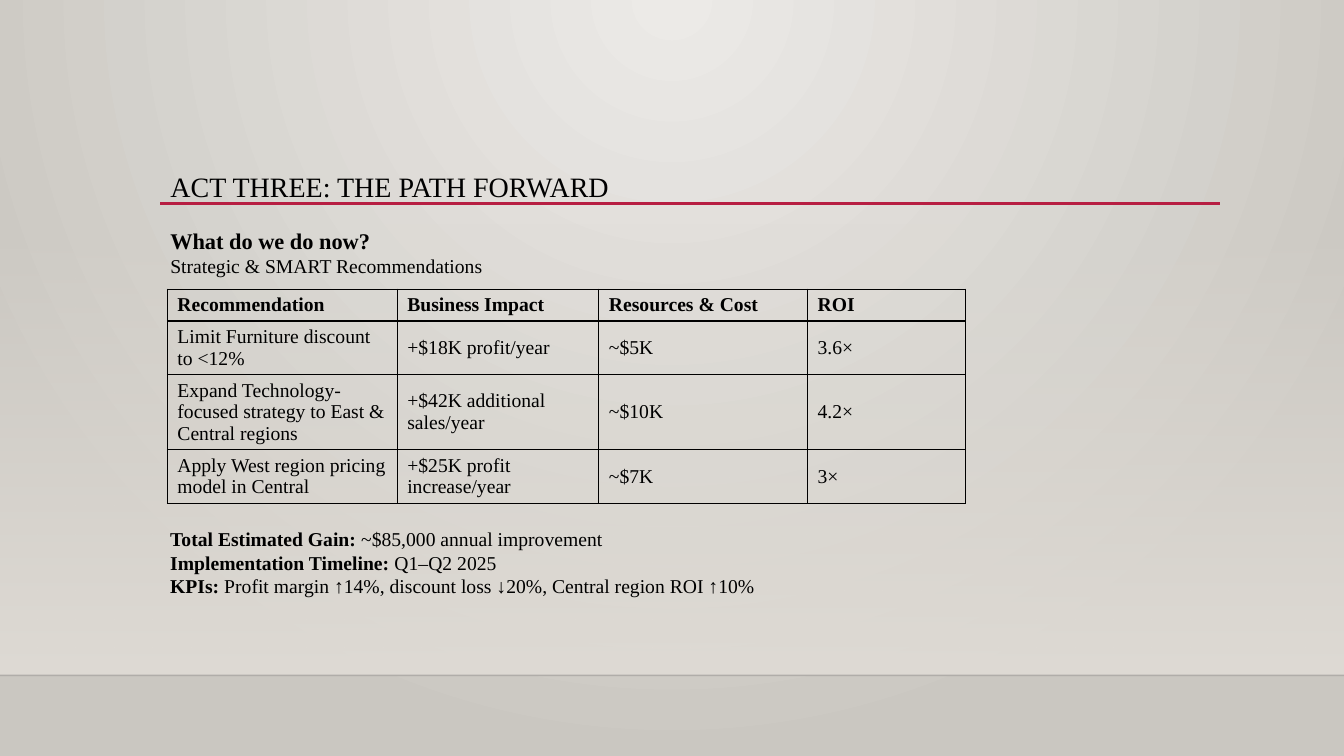
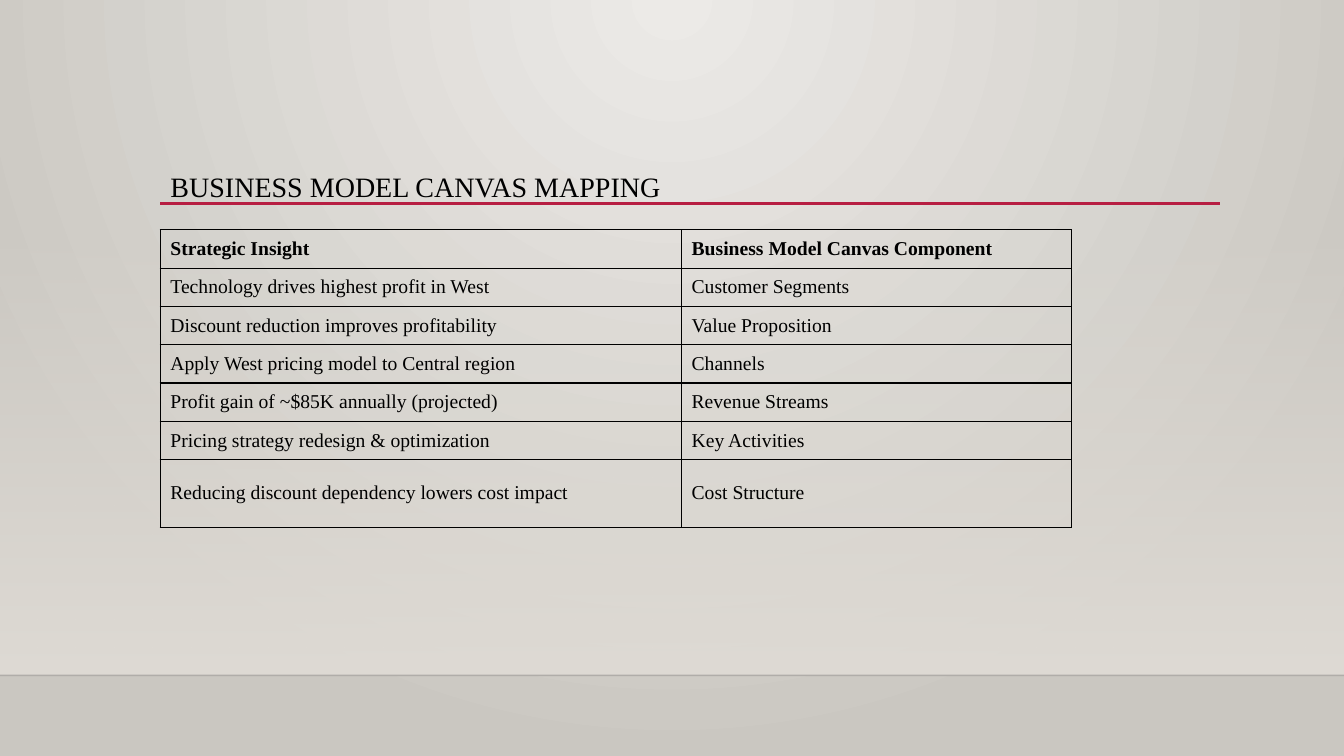
from dataclasses import dataclass

from lxml.etree import SubElement
from pptx import Presentation
from pptx.dml.color import RGBColor
from pptx.enum.shapes import MSO_CONNECTOR, MSO_SHAPE
from pptx.enum.text import MSO_ANCHOR, MSO_AUTO_SIZE, PP_ALIGN
from pptx.oxml.ns import qn
from pptx.slide import Slide, SlideLayout
from pptx.text.text import TextFrame
from pptx.util import Emu, Pt

WIDTH, HEIGHT = 1333, 750
LEFT = 159
FLOOR = 670
FONT = "Times New Roman"
BLACK = RGBColor(0x00, 0x00, 0x00)
INK = RGBColor(0x00, 0x00, 0x01)
RED = RGBColor(0xB7, 0x1E, 0x42)
LIGHT = RGBColor(0xEC, 0xEA, 0xE7)
DARK = RGBColor(0xCA, 0xC7, 0xC1)
SAND = RGBColor(0xDF, 0xDB, 0xD5)


@dataclass(frozen=True)
class Run:
    text: str
    bold: bool = False
    size: int = 14


@dataclass(frozen=True)
class Grid:
    left: int
    top: int
    cols: list[int]
    rows: list[int]
    cells: list[list[str]]


@dataclass(frozen=True)
class Note:
    top: int
    width: int
    height: int
    lines: list[list[Run]]


@dataclass(frozen=True)
class Page:
    title: str
    grid: Grid
    notes: list[Note]


@dataclass(frozen=True)
class Rule:
    left: int
    right: int
    top: int
    color: RGBColor
    weight: float
    alpha: int = 100


RULES = [
    Rule(0, WIDTH, FLOOR, INK, 1, 20),
    Rule(LEFT, 1210, 202, RED, 2.5),
]

PAGES = [
    Page(
        "ACT THREE: THE PATH FORWARD",
        Grid(166, 287, [228, 200, 207, 157], [25, 42, 60, 43], [
            ["Recommendation", "Business Impact", "Resources & Cost", "ROI"],
            ["Limit Furniture discount to <12%", "+$18K profit/year", "~$5K", "3.6×"],
            ["Expand Technology-focused strategy to East & Central regions",
             "+$42K additional sales/year", "~$10K", "4.2×"],
            ["Apply West region pricing model in Central",
             "+$25K profit increase/year", "~$7K", "3×"],
        ]),
        [
            Note(220, 662, 61, [
                [Run("What do we do now?", True, 16)],
                [Run("Strategic & SMART Recommendations")],
            ]),
            Note(518, 667, 81, [
                [Run("Total Estimated Gain:", True),
                 Run(" ~$85,000 annual improvement")],
                [Run("Implementation Timeline:", True), Run(" Q1–Q2 2025")],
                [Run("KPIs:", True),
                 Run(" Profit margin ↑14%, discount loss ↓20%, Central region ROI ↑10%")],
            ]),
        ],
    ),
    Page(
        "BUSINESS MODEL CANVAS MAPPING",
        Grid(LEFT, 228, [517, 387], [38] * 6 + [67], [
            ["Strategic Insight", "Business Model Canvas Component"],
            ["Technology drives highest profit in West", "Customer Segments"],
            ["Discount reduction improves profitability", "Value Proposition"],
            ["Apply West pricing model to Central region", "Channels"],
            ["Profit gain of ~$85K annually (projected)", "Revenue Streams"],
            ["Pricing strategy redesign & optimization", "Key Activities"],
            ["Reducing discount dependency lowers cost impact", "Cost Structure"],
        ]),
        [],
    ),
]


def px(count: int) -> Emu:
    return Emu(count * 9144)


def write(frame: TextFrame, lines: list[list[Run]], *, space: float = 1.0,
          anchor: MSO_ANCHOR = MSO_ANCHOR.TOP) -> None:
    frame.word_wrap = True
    frame.vertical_anchor = anchor
    for index, line in enumerate(lines):
        para = frame.add_paragraph() if index else frame.paragraphs[0]
        para.alignment = PP_ALIGN.LEFT
        para.line_spacing = space
        for part in line:
            run = para.add_run()
            run.text = part.text
            font = run.font
            font.name, font.size, font.bold = FONT, Pt(part.size), part.bold
            font.color.rgb = BLACK


def fade(node, alpha: int) -> None:
    color = next(node.iter(qn("a:srgbClr")))
    SubElement(color, qn("a:alpha"), val=str(alpha * 1000))


def blend(fill, start: RGBColor, end: RGBColor) -> None:
    fill.gradient()
    for stop, color in zip(fill.gradient_stops, (start, end)):
        stop.color.rgb = color


def glow(layout: SlideLayout) -> None:
    blend(layout.background.fill, LIGHT, DARK)
    grad = next(layout.element.iter(qn("a:gradFill")))
    for line in grad.findall(qn("a:lin")):
        grad.remove(line)
    round_ = SubElement(grad, qn("a:path"), path="circle")
    SubElement(round_, qn("a:fillToRect"), l="43000", t="0", r="43000", b="100000")


def dress(layout: SlideLayout, slide: Slide) -> None:
    glow(layout)
    title = layout.placeholders[0]
    title.left, title.top = px(LEFT), px(167)
    title.width, title.height = px(1050), px(92)

    band = slide.shapes.add_shape(
        MSO_SHAPE.RECTANGLE, 0, px(221), px(WIDTH), px(FLOOR - 221))
    band.shadow.inherit = False
    band.line.fill.background()
    blend(band.fill, SAND, SAND)
    band.fill.gradient_angle = 270
    fade(band.element.spPr, 0)
    parts = [band]
    for rule in RULES:
        line = slide.shapes.add_connector(
            MSO_CONNECTOR.STRAIGHT, px(rule.left), px(rule.top),
            px(rule.right), px(rule.top))
        line.line.color.rgb = rule.color
        line.line.width = Pt(rule.weight)
        fade(line.element.spPr, rule.alpha)
        SubElement(line.element.spPr, qn("a:effectLst"))
        parts.append(line)
    for index, part in enumerate(parts, 2):
        layout.shapes.element.insert(index, part.element)


def frame_cell(cell) -> None:
    props = cell._tc.get_or_add_tcPr()
    for side in "LRTB":
        edge = SubElement(props, qn(f"a:ln{side}"), w=str(Pt(1)))
        fill = SubElement(edge, qn("a:solidFill"))
        SubElement(fill, qn("a:srgbClr"), val=str(BLACK))
    cell.fill.background()


def add_grid(slide: Slide, grid: Grid) -> None:
    table = slide.shapes.add_table(
        len(grid.rows), len(grid.cols), px(grid.left), px(grid.top),
        px(sum(grid.cols)), px(sum(grid.rows))).table
    table.horz_banding = False
    for column, width in zip(table.columns, grid.cols):
        column.width = px(width)
    for index, (row, height) in enumerate(zip(table.rows, grid.rows)):
        row.height = px(height)
        for cell, text in zip(row.cells, grid.cells[index]):
            write(cell.text_frame, [[Run(text, index == 0)]])
            cell.vertical_anchor = MSO_ANCHOR.MIDDLE
            frame_cell(cell)


def add_note(slide: Slide, note: Note) -> None:
    box = slide.shapes.add_textbox(
        px(LEFT), px(note.top), px(note.width), px(note.height))
    write(box.text_frame, note.lines)


def fill_page(slide: Slide, page: Page) -> None:
    title = slide.shapes.title.text_frame
    title.auto_size = MSO_AUTO_SIZE.NONE
    write(title, [[Run(page.title, size=20)]], space=0.9)
    add_grid(slide, page.grid)
    for note in page.notes:
        add_note(slide, note)


def main() -> None:
    deck = Presentation()
    deck.slide_width, deck.slide_height = px(WIDTH), px(HEIGHT)
    layout = deck.slide_layouts[5]
    slides = [deck.slides.add_slide(layout) for _ in PAGES]
    dress(layout, slides[0])
    for slide, page in zip(slides, PAGES):
        fill_page(slide, page)
    deck.save("out.pptx")


if __name__ == "__main__":
    main()
